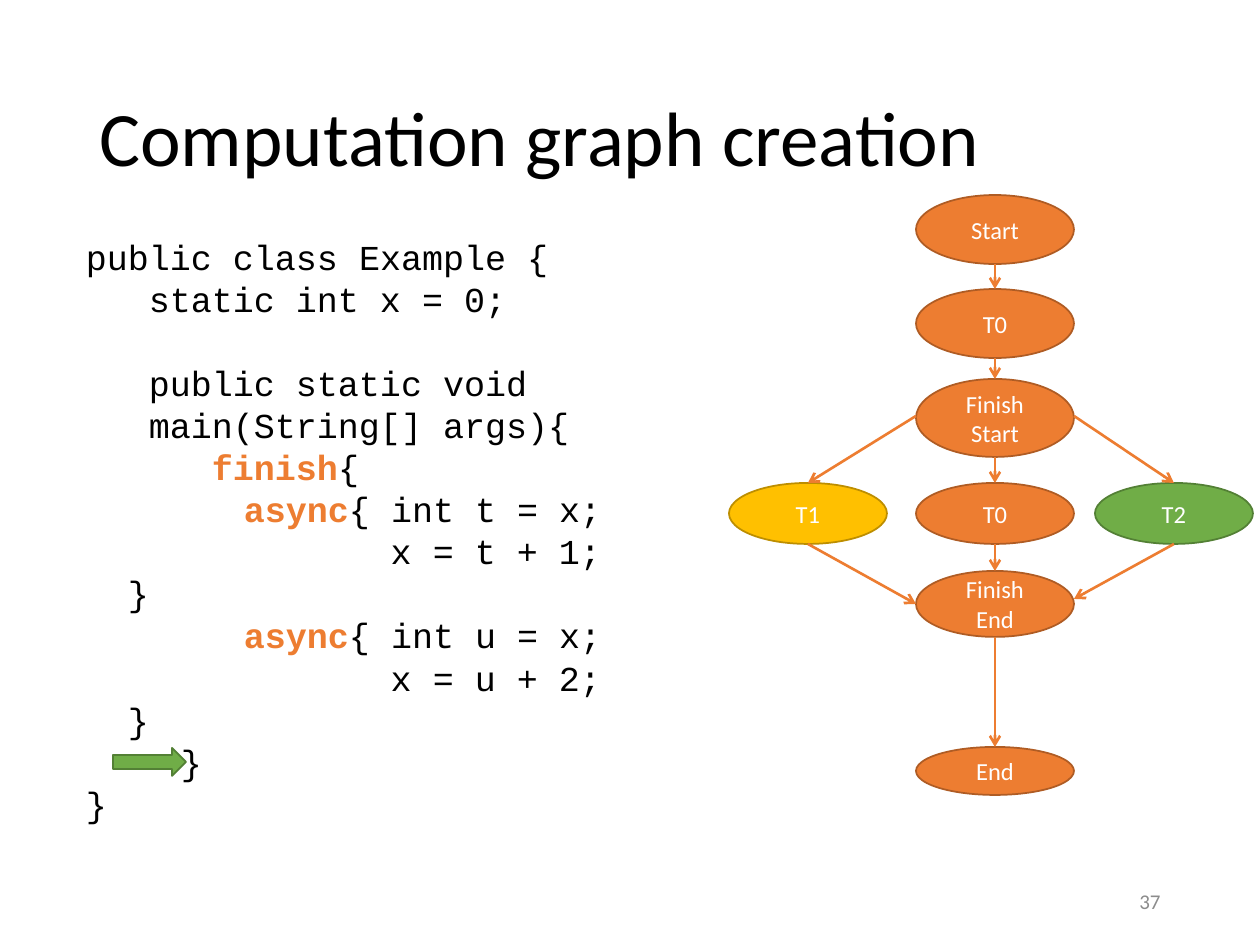
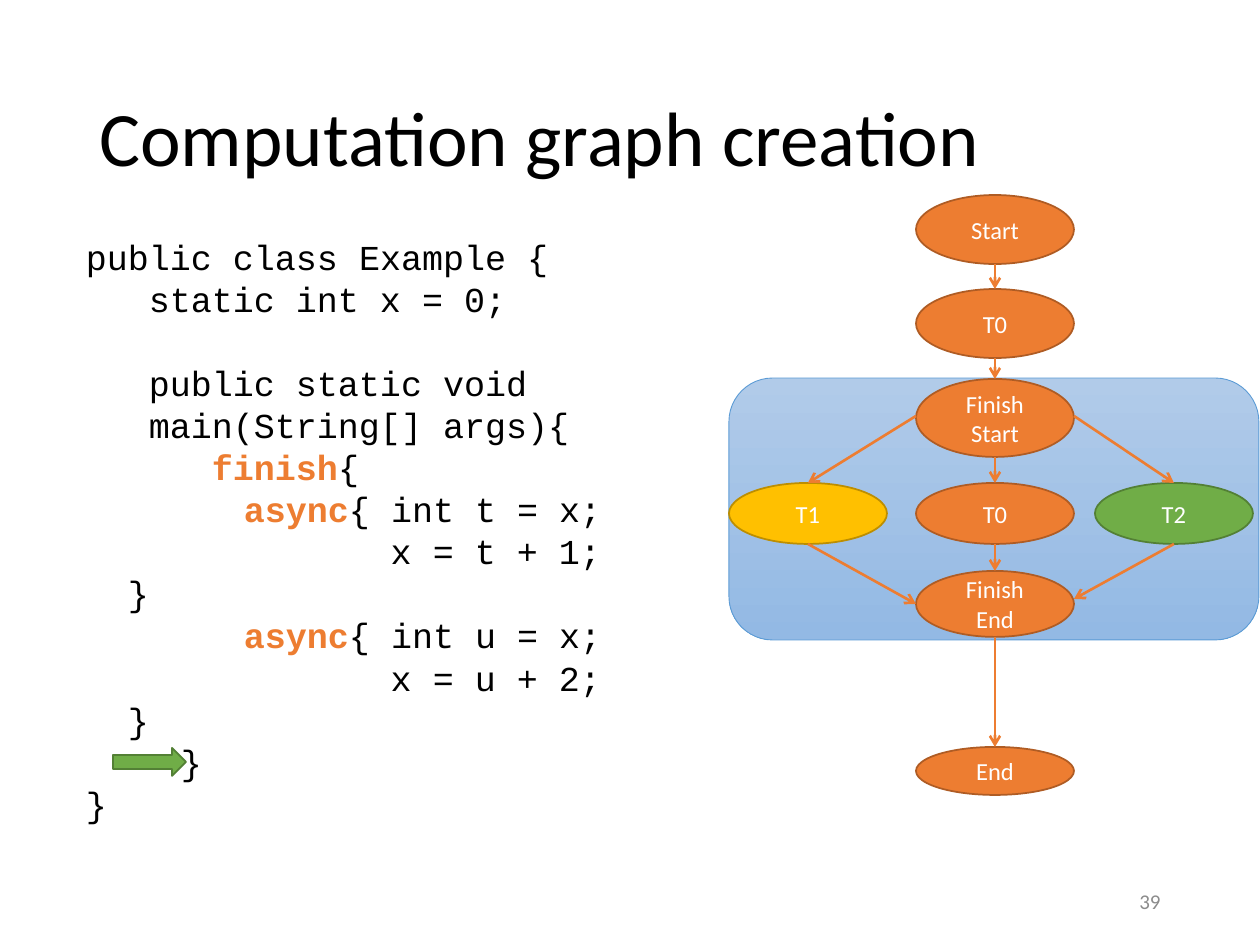
from lxml import etree
from pptx import Presentation
from pptx import util as u
from pptx.dml.color import RGBColor
from pptx.enum import shapes, text
from pptx.oxml.ns import qn

SCALE = u.Inches(1) // 126
KIND = shapes.MSO_SHAPE
ALIGN = text.PP_ALIGN
SANS, MONO = "Calibri", "Courier New"
BLACK, WHITE, GREY = "000000", "FFFFFF", "8C8C8C"
ORANGE, RUST = "ED7D31", "AF5C24"
GOLD, BRONZE = "FFC000", "BD8E00"
GREEN, MOSS = "70AD47", "538035"
SKY, HAZE, BLUE = "B1CBE9", "93B9E4", "5B9BD5"

TITLE = "Computation graph creation"
NODE_W = 158
LEFT, MID, RIGHT = 729, 916, 1095
FORK_Y = 416
STEPS = [
    (["Start"], 195, 69),
    (["T0"], 289, 69),
    (["Finish", "Start"], 379, 78),
    (["T0"], 483, 61),
    (["Finish", "End"], 571, 66),
    (["End"], 747, 48),
]
CODE = [
    (0, "", "public class Example {"),
    (63, "", "static int x = 0;"),
    (63, "", "public static void"),
    (63, "", "main(String[] args){"),
    (126, "finish", "{"),
    (158, "async", "{ int t = x;"),
    (305, "", "x = t + 1;"),
    (42, "", "}"),
    (158, "async", "{ int u = x;"),
    (305, "", "x = u + 2;"),
    (42, "", "}"),
    (95, "", "}"),
    (0, "", "}"),
]
GAP_LINE = 2


def px(n):
    return n * SCALE


def rgb(code):
    return RGBColor.from_string(code)


def add_run(para, words, size, color, font=SANS, bold=False):
    run = para.add_run()
    run.text = words
    run.font.size = u.Pt(size)
    run.font.name = font
    run.font.bold = bold
    run.font.color.rgb = rgb(color)


def next_para(frame, index):
    return frame.add_paragraph() if index else frame.paragraphs[0]


def add_label(slide, box, words, size, color, align=ALIGN.LEFT):
    frame = slide.shapes.add_textbox(*map(px, box)).text_frame
    frame.word_wrap = True
    frame.vertical_anchor = text.MSO_ANCHOR.MIDDLE
    para = frame.paragraphs[0]
    para.alignment = align
    add_run(para, words, size, color)
    return para


def add_shape(slide, kind, box, fill=None, line=None, width=1):
    shape = slide.shapes.add_shape(kind, *map(px, box))
    shape.shadow.inherit = False
    if fill:
        shape.fill.solid()
        shape.fill.fore_color.rgb = rgb(fill)
    else:
        shape.fill.background()
    if line:
        shape.line.color.rgb = rgb(line)
        shape.line.width = u.Pt(width)
    else:
        shape.line.fill.background()
    return shape


def add_node(slide, lines, left, top, high, fill=ORANGE, edge=RUST):
    node = add_shape(slide, KIND.OVAL, (left, top, NODE_W, high), fill, edge)
    frame = node.text_frame
    frame.vertical_anchor = text.MSO_ANCHOR.MIDDLE
    for i, words in enumerate(lines):
        para = next_para(frame, i)
        para.alignment = ALIGN.CENTER
        add_run(para, words, 14, WHITE)


def add_arrow(slide, x1, y1, x2, y2):
    line = slide.shapes.add_connector(
        shapes.MSO_CONNECTOR.STRAIGHT, *map(px, (x1, y1, x2, y2)))
    line.line.color.rgb = rgb(ORANGE)
    line.line.width = u.Pt(1.5)
    etree.SubElement(line.line._get_or_add_ln(), qn("a:tailEnd"), type="arrow")
    etree.SubElement(line._element.spPr, qn("a:effectLst"))


def add_graph(slide):
    for lines, top, high in STEPS:
        add_node(slide, lines, MID, top, high)
    core = MID + NODE_W // 2
    for (_, top, high), (_, below, _) in zip(STEPS, STEPS[1:]):
        add_arrow(slide, core, top + high, core, below)

    _, top, high = STEPS[3]
    sides = [
        ("T1", LEFT, GOLD, BRONZE, MID, 604),
        ("T2", RIGHT, GREEN, MOSS, MID + NODE_W, 599),
    ]
    for name, left, fill, edge, inner, join in sides:
        add_node(slide, [name], left, top, high, fill, edge)
        half = left + NODE_W // 2
        add_arrow(slide, inner, FORK_Y, half, top)
        add_arrow(slide, half, top + high, inner, join)


def add_code(slide):
    box = add_shape(slide, KIND.ROUNDED_RECTANGLE, (42, 195, 644, 670))
    frame = box.text_frame
    frame.vertical_anchor = text.MSO_ANCHOR.MIDDLE
    for i, (indent, key, rest) in enumerate(CODE):
        para = next_para(frame, i)
        para.alignment = ALIGN.LEFT
        para.line_spacing = u.Pt(24)
        para.space_before = u.Pt(24 if i == GAP_LINE else 0)
        para._p.get_or_add_pPr().set("marL", str(px(indent)))
        if key:
            add_run(para, key, 20, ORANGE, MONO, True)
        add_run(para, rest, 20, BLACK, MONO)


def add_scope(slide):
    box = (729, 378, 530, 262)
    scope = add_shape(slide, KIND.ROUNDED_RECTANGLE, box, SKY, BLUE, 0.5)
    scope.fill.gradient()
    scope.fill.gradient_angle = 270
    for stop, color, spot in zip(scope.fill.gradient_stops, (SKY, HAZE), (0, 1)):
        stop.color.rgb = rgb(color)
        stop.position = spot


def add_slide(deck, number, scoped):
    slide = deck.slides.add_slide(deck.slide_layouts[6])
    if scoped:
        add_scope(slide)
    add_label(slide, (87, 50, 1086, 183), TITLE, 44, BLACK).line_spacing = 0.9
    add_label(slide, (890, 876, 283, 50), number, 12, GREY, ALIGN.RIGHT)
    add_graph(slide)
    add_code(slide)
    add_shape(slide, KIND.RIGHT_ARROW, (113, 748, 73, 28), GREEN, MOSS)


def main():
    deck = Presentation()
    deck.slide_width, deck.slide_height = px(1260), px(945)
    add_slide(deck, "37", False)
    add_slide(deck, "39", True)
    deck.save("out.pptx")


main()
